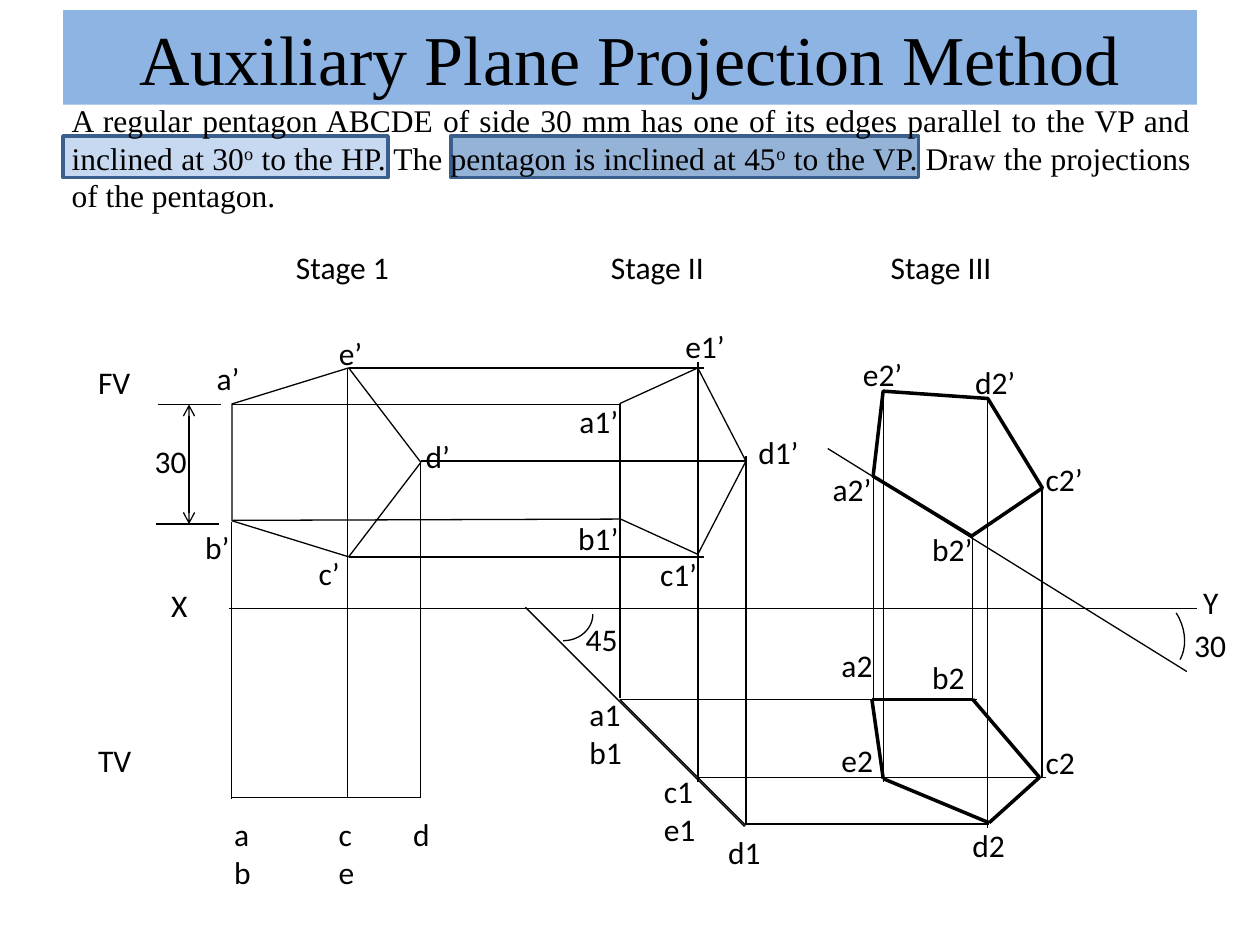
"""Build a slide on the auxiliary plane projection of a pentagon."""
from itertools import pairwise
from lxml import etree
from pptx import Presentation
from pptx.dml.color import RGBColor
from pptx.enum import shapes as es, text as et
from pptx.oxml.ns import qn
from pptx.util import Inches, Pt

THEME = {
    "ink": "000000", "edge": "3A5F8C", "band": "8EB4E3", "pale": "C6D9F1", "mid": "95B3D7",
    "serif": "Times New Roman", "sans": "Calibri",
    "head": 40, "text": 18, "thin": 0.75, "bold": 2,
}
TITLE = "Auxiliary Plane Projection Method"
TASK = [
    ("A regular pentagon ABCDE of side 30 mm has one of its edges parallel to the VP "
     "and inclined at 30", False), ("o", True),
    (" to the HP. The pentagon is inclined at 45", False), ("o", True),
    (" to the VP. Draw the projections of the pentagon.", False),
]
MARKS = [(0.5, 2.58, "pale"), (3.58, 3.71, "mid")]
LABELS = [
    ("Stage 1", 2.25, 1.92, 0.95), ("Stage II", 4.75, 1.92, 0.95), ("Stage III", 6.97, 1.92, 1.01),
    ("FV", 0.68, 2.83, 0.46), ("TV", 0.68, 5.83, 0.47),
    ("X", 1.26, 4.6, 0.56), ("Y", 9.45, 4.58, 0.55),
    ("a’", 1.62, 2.8, 0.39), ("b’", 1.53, 4.14, 0.4), ("c’", 2.43, 4.35, 0.37),
    ("d’", 3.28, 3.42, 0.4), ("e’", 2.59, 2.6, 0.39),
    ("a\nb", 1.76, 6.42, 0.34), ("c\ne", 2.59, 6.42, 0.33), ("d", 3.18, 6.42, 0.34),
    ("a1’", 4.5, 3.14, 0.51), ("b1’", 4.49, 4.07, 0.53), ("c1’", 5.14, 4.36, 0.5),
    ("d1’", 5.92, 3.39, 0.53), ("e1’", 5.34, 2.55, 0.52),
    ("a1\nb1", 4.58, 5.47, 0.46), ("c1\ne1", 5.17, 6.08, 0.46), ("d1", 5.68, 6.56, 0.46),
    ("a2’", 6.51, 3.68, 0.51), ("b2’", 7.3, 4.16, 0.53), ("c2’", 8.2, 3.6, 0.5),
    ("d2’", 7.64, 2.83, 0.53), ("e2’", 6.75, 2.77, 0.52),
    ("a2", 6.58, 5.08, 0.45), ("b2", 7.3, 5.17, 0.46), ("c2", 8.2, 5.85, 0.44),
    ("d2", 7.62, 6.51, 0.46), ("e2", 6.58, 5.83, 0.46),
    ("30", 1.13, 3.46, 0.46), ("45", 4.55, 4.87, 0.52), ("30", 9.38, 4.92, 0.46),
]
FRONTS = [
    ((1.84, 2.92, 1.5, 1.5), 90, "thin"),
    ((4.68, 3.16, 1.48, 1), 90, "thin"),
    ((6.84, 3.09, 1.48, 1), 31.3, "bold"),
]
ARCS = [((4.26, 4.64, 0.42, 0.47), 90, ()), ((8.73, 4.73, 0.72, 0.58), 57.5, (162, 204.31))]
UPRIGHT = [
    (1.84, 6.34, 4.14), (2.76, 6.33, 2.92), (3.34, 6.33, 3.67),
    (4.92, 5.54, 3.21), (5.54, 6.21, 2.87), (5.92, 6.54, 3.62),
    (6.93, 3.77, 5.58), (7.01, 3.11, 6.21), (7.72, 4.25, 5.55),
    (7.84, 3.17, 6.57), (8.27, 3.87, 6.17),
]
LEVEL = [
    (4.83, 1.82, 9.5), (6.33, 1.84, 3.34),
    (2.92, 2.77, 5.59), (3.21, 1.84, 4.92), (3.66, 3.34, 5.92), (4.42, 2.77, 5.59),
    (3.21, 1.25, 1.75), (4.16, 1.24, 1.74),
    (5.55, 4.92, 7.75), (6.17, 5.55, 8.3), (6.54, 5.92, 7.85),
]
SLOPES = [
    ((1.85, 4.13), (4.92, 4.12)), ((4.17, 4.82), (5.91, 6.56)),
    ((4.92, 5.55), (5.92, 6.55)), ((9.42, 5.33), (6.57, 3.56)),
]
SIZE = ((1.5, 4.16), (1.5, 3.21))
PLAN = [(6.92, 5.55), (7.72, 5.55), (8.25, 6.17), (7.85, 6.53), (7.01, 6.18)]


def tint(name):
    return RGBColor.from_string(THEME[name])


def style(run, face, size):
    for key, val in {"name": THEME[face], "size": Pt(THEME[size])}.items():
        setattr(run.font, key, val)
    run.font.color.rgb = tint("ink")


def stroke(item, color, width):
    item.line.color.rgb = tint(color)
    item.line.width = Pt(THEME[width])


def draw(slide, kind, box, fill=None, color="ink", width="thin", turn=0):
    item = slide.shapes.add_shape(kind, *map(Inches, box))
    item.shadow.inherit = False
    item.rotation = turn
    if fill:
        item.fill.solid()
        item.fill.fore_color.rgb = tint(fill)
    else:
        item.fill.background()
    stroke(item, color, width)
    return item


def join(slide, start, end, width="thin"):
    line = slide.shapes.add_connector(es.MSO_CONNECTOR.STRAIGHT, *map(Inches, (*start, *end)))
    stroke(line, "ink", width)
    etree.SubElement(line._element.spPr, qn("a:effectLst"))
    return line


def frame(slide, box, wrap):
    body = slide.shapes.add_textbox(*map(Inches, box)).text_frame
    for key, val in {"word_wrap": wrap, "auto_size": et.MSO_AUTO_SIZE.SHAPE_TO_FIT_TEXT}.items():
        setattr(body, key, val)
    return body


def header(slide):
    title = slide.shapes.title
    for key, val in {"left": 0.5, "top": 0.08, "width": 9, "height": 0.75}.items():
        setattr(title, key, Inches(val))
    title.fill.solid()
    title.fill.fore_color.rgb = tint("band")
    title.text_frame.vertical_anchor = et.MSO_ANCHOR.MIDDLE
    para = title.text_frame.paragraphs[0]
    para.alignment = et.PP_ALIGN.CENTER
    run = para.add_run()
    run.text = TITLE
    style(run, "serif", "head")

    for left, wide, fill in MARKS:
        draw(slide, es.MSO_SHAPE.RECTANGLE, (left, 1.08, wide, 0.33), fill, "edge", "bold")
    para = frame(slide, (0.47, 0.75, 9.08, 1.01), True).paragraphs[0]
    para.alignment = et.PP_ALIGN.JUSTIFY
    for words, high in TASK:
        run = para.add_run()
        run.text = words
        style(run, "serif", "text")
        if high:
            run._r.get_or_add_rPr().set("baseline", "30000")


def views(slide):
    for box, turn, width in FRONTS:
        draw(slide, es.MSO_SHAPE.REGULAR_PENTAGON, box, width=width, turn=turn)
    for box, turn, ends in ARCS:
        arc = draw(slide, es.MSO_SHAPE.ARC, box, turn=turn)
        for spot, val in enumerate(ends):
            arc.adjustments[spot] = val
    for x, start, end in UPRIGHT:
        join(slide, (x, start), (x, end))
    for y, start, end in LEVEL:
        join(slide, (start, y), (end, y))
    for start, end in SLOPES:
        join(slide, start, end)
    for start, end in pairwise(PLAN + PLAN[:1]):
        join(slide, start, end, "bold")
    ln = join(slide, *SIZE).line._get_or_add_ln()
    for tip in ("a:headEnd", "a:tailEnd"):
        etree.SubElement(ln, qn(tip), type="arrow")


def names(slide):
    for words, left, top, wide in LABELS:
        rows = words.split("\n")
        body = frame(slide, (left, top, wide, 0.1 + 0.3 * len(rows)), False)
        for spot, row in enumerate(rows):
            para = body.add_paragraph() if spot else body.paragraphs[0]
            run = para.add_run()
            run.text = row
            style(run, "sans", "text")


def main():
    deck = Presentation()
    deck.slide_width, deck.slide_height = Inches(10), Inches(7.5)
    slide = deck.slides.add_slide(deck.slide_layouts[5])
    header(slide)
    views(slide)
    names(slide)
    deck.save("out.pptx")


if __name__ == "__main__":
    main()
